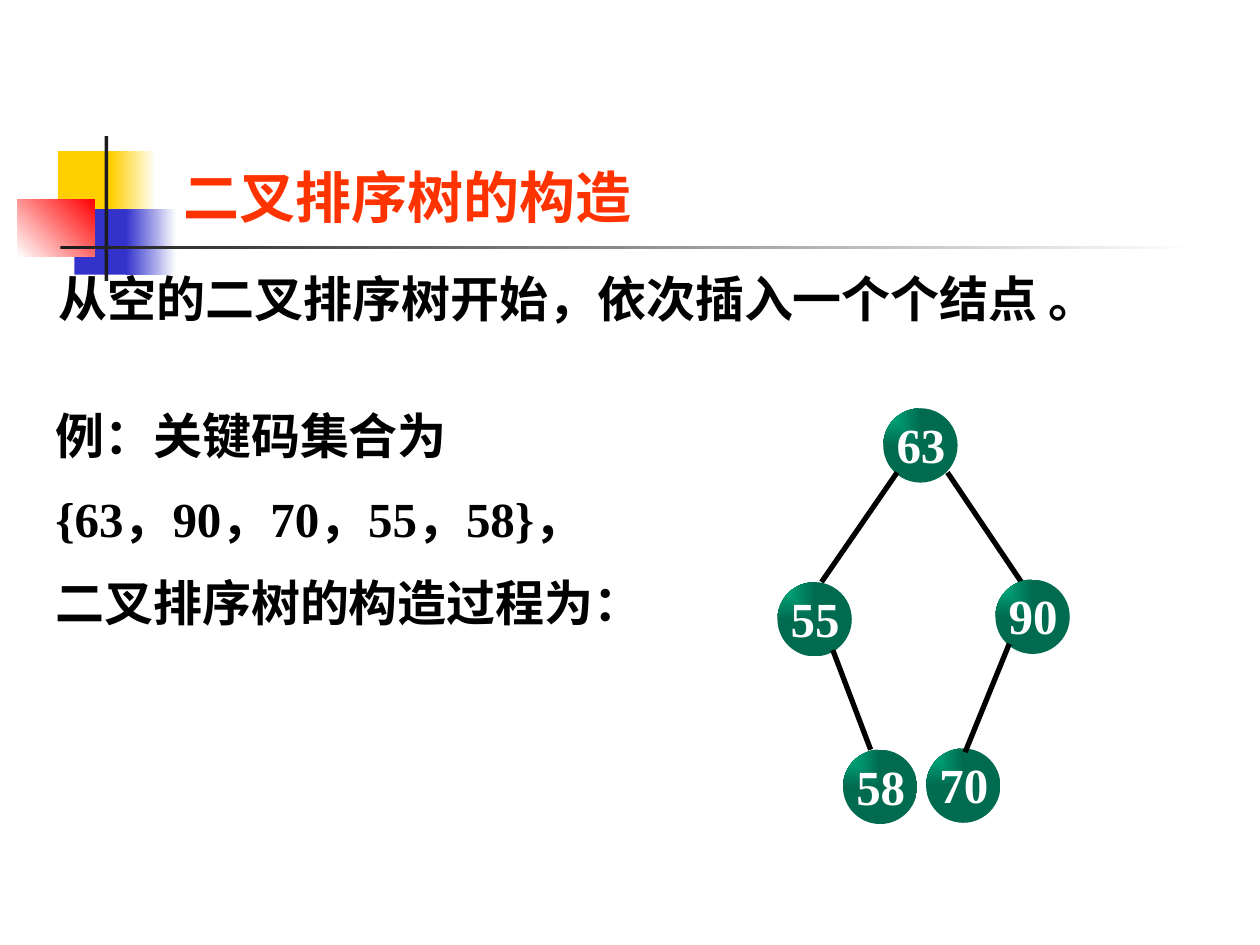
from lxml import etree
from pptx import Presentation
from pptx.dml.color import RGBColor
from pptx.enum.shapes import MSO_CONNECTOR as Connector, MSO_SHAPE as Shape
from pptx.enum.text import PP_ALIGN as Align
from pptx.oxml import parse_xml
from pptx.oxml.ns import nsdecls, qn
from pptx.util import Inches, Pt

LATIN_FONT = "Times New Roman"
CJK_FONT = "Noto Sans CJK SC"
WHITE, BLACK, CHARCOAL = "FFFFFF", "000000", "1C1C1C"
YELLOW, BLUE, RED, ORANGE = "FFCF01", "3333CC", "FF0000", "FF3300"
NODE_LIGHT, NODE_DARK = "00B888", "006B4F"

LINEAR = '<a:lin ang="{}" scaled="0"/>'
FROM_CORNER = '<a:path path="rect"><a:fillToRect r="100000" b="100000"/></a:path>'
NODE_SIZE = 0.59


def color(hex_string):
    return RGBColor.from_string(hex_string)


def fill_gradient(shape, start, end, direction):
    """Replace the fill with a two-colour gradient."""
    shape.fill.background()
    no_fill = shape._element.spPr.find(qn("a:noFill"))
    gradient = parse_xml(
        f'<a:gradFill {nsdecls("a")} rotWithShape="1"><a:gsLst>'
        f'<a:gs pos="0"><a:srgbClr val="{start}"/></a:gs>'
        f'<a:gs pos="100000"><a:srgbClr val="{end}"/></a:gs>'
        f'</a:gsLst>{direction}</a:gradFill>')
    shape._element.spPr.replace(no_fill, gradient)


def add_block(page, kind, bounds, start, end=None, direction=LINEAR.format(0)):
    """Add a borderless shape, solid or fading from start to end."""
    shape = page.shapes.add_shape(kind, *map(Inches, bounds))
    shape.shadow.inherit = False
    shape.line.fill.background()
    if end:
        fill_gradient(shape, start, end, direction)
    else:
        shape.fill.solid()
        shape.fill.fore_color.rgb = color(start)


def add_text(page, bounds, text, size, hex_string, insets=(0.1, 0.05, 0.1, 0.05),
             align=Align.LEFT):
    """Add bold text, one paragraph per line, half a line apart."""
    box = page.shapes.add_textbox(*map(Inches, bounds))
    frame = box.text_frame
    frame.word_wrap = True
    (frame.margin_left, frame.margin_top,
     frame.margin_right, frame.margin_bottom) = map(Inches, insets)
    frame.text = text
    for index, para in enumerate(frame.paragraphs):
        para.alignment = align
        if index:
            para.space_before = Pt(size / 2)
        for span in para.runs:
            span.font.size = Pt(size)
            span.font.bold = True
            span.font.name = LATIN_FONT
            span.font.color.rgb = color(hex_string)
            east_asian = parse_xml(f'<a:ea {nsdecls("a")} typeface="{CJK_FONT}"/>')
            span.font._element.find(qn("a:latin")).addnext(east_asian)


def add_node(page, key, left, top):
    add_block(page, Shape.OVAL, (left, top, NODE_SIZE, NODE_SIZE),
              NODE_LIGHT, NODE_DARK, FROM_CORNER)
    add_text(page, (left + 0.1, top + 0.05, 0.4, 0.52), key, 28, WHITE,
             (0, 0, 0, 0.04), Align.CENTER)


def add_edge(page, *ends):
    edge = page.shapes.add_connector(Connector.STRAIGHT, *map(Inches, ends))
    edge.line.color.rgb = color(BLACK)
    edge.line.width = Pt(3)
    etree.SubElement(edge._element.spPr, qn("a:effectLst"))


def add_decoration(page):
    add_block(page, Shape.RECTANGLE, (0.46, 1.2, 0.48, 0.52), YELLOW)
    add_block(page, Shape.RECTANGLE, (0.88, 1.2, 0.36, 0.52), YELLOW, WHITE)
    add_block(page, Shape.RECTANGLE, (0.59, 1.66, 0.46, 0.52), BLUE)
    add_block(page, Shape.RECTANGLE, (1, 1.66, 0.4, 0.52), BLUE, WHITE)
    add_block(page, Shape.RECTANGLE, (0.14, 1.58, 0.61, 0.46), WHITE, RED,
              LINEAR.format(315 * 60000))
    add_block(page, Shape.RECTANGLE, (0.83, 1.08, 0.03, 1.15), CHARCOAL)
    add_block(page, Shape.RECTANGLE, (0.48, 1.95, 9, 0.03), CHARCOAL, WHITE)


def add_tree(page):
    # Root, with its edges tucked under the child nodes
    add_node(page, "63", 7.01, 3.24)
    add_edge(page, 7.12, 3.75, 6.52, 4.62)
    add_edge(page, 7.52, 3.75, 8.14, 4.67)
    # Children and leaves
    for key, left, top in [("55", 6.17, 4.62), ("90", 7.9, 4.6),
                           ("58", 6.69, 5.95), ("70", 7.35, 5.94)]:
        add_node(page, key, left, top)
    # Edges down to the leaves
    add_edge(page, 6.61, 5.16, 6.91, 5.95)
    add_edge(page, 8.01, 5.11, 7.66, 5.97)


def main():
    deck = Presentation()
    deck.slide_width, deck.slide_height = Inches(10), Inches(7.5)
    page = deck.slides.add_slide(deck.slide_layouts[6])

    add_decoration(page)
    # Title, introduction and example
    add_text(page, (1.36, 1.24, 4.5, 0.63), "二叉排序树的构造", 32, ORANGE)
    add_text(page, (0.37, 2.08, 8.83, 0.57),
             "从空的二叉排序树开始，依次插入一个个结点 。", 28, BLACK)
    add_text(page, (0.44, 3.17, 4.77, 1.97),
             "例：关键码集合为\n{63，90，70，55，58}，\n二叉排序树的构造过程为：",
             28, BLACK, (0, 0.05, 0, 0.05))
    add_tree(page)

    deck.save("out.pptx")


if __name__ == "__main__":
    main()
